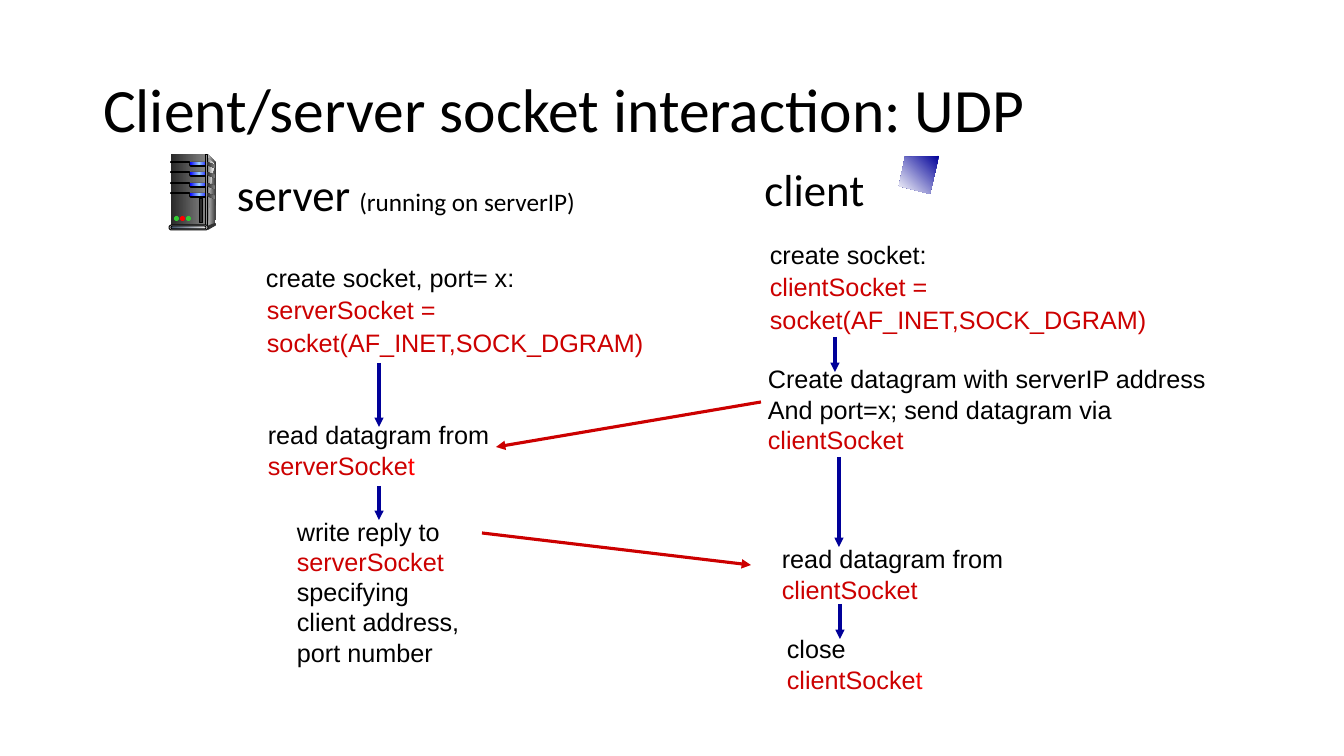
from lxml import etree
from pptx import Presentation
from pptx.dml.color import RGBColor
from pptx.enum.shapes import MSO_CONNECTOR, MSO_SHAPE
from pptx.enum.text import MSO_ANCHOR, MSO_AUTO_SIZE, PP_ALIGN
from pptx.oxml.ns import qn
from pptx.util import Pt

PX = 914400 / 100.8
STRAIGHT = MSO_CONNECTOR.STRAIGHT
RECT, ROUND, OVAL = MSO_SHAPE.RECTANGLE, MSO_SHAPE.ROUNDED_RECTANGLE, MSO_SHAPE.OVAL
MIDDLE, FIT = MSO_ANCHOR.MIDDLE, MSO_AUTO_SIZE.SHAPE_TO_FIT_TEXT
LEFT, CENTER = PP_ALIGN.LEFT, PP_ALIGN.CENTER

THEME = {
    "ink": "000000", "code": "CC0000", "bright": "FF0000", "flow": "000099",
    "white": "FFFFFF", "green": "33CC33", "dark": "333333", "black": "292929",
    "grey": "808080", "pale": "DDDDDD", "shine": "F8F8F8", "blue": "0000FF",
    "sky": "99CCFF", "slate": "44546A", "mist": "E7E6E6",
    "heading_font": "Calibri", "step_font": "Arial",
    "title": 44, "heading": 32, "gap": 28, "step": 18,
    "arrow": 2.25, "outline": 0.75,
}


def paint(shape, colours, outlined=False, angle=0):
    """Fill with one colour or an even gradient, with an optional thin outline."""
    shape.shadow.inherit = False
    if len(colours) == 1:
        shape.fill.solid()
        shape.fill.fore_color.rgb = RGBColor.from_string(THEME[colours[0]])
    else:
        shape.fill.gradient()
        shape.fill.gradient_angle = angle
        stops = shape._element.spPr.find(qn("a:gradFill")).find(qn("a:gsLst"))
        for stop in list(stops):
            stops.remove(stop)
        for index, colour in enumerate(colours):
            position = 100000 * index // (len(colours) - 1)
            stop = etree.SubElement(stops, qn("a:gs"), pos=str(position))
            etree.SubElement(stop, qn("a:srgbClr"), val=THEME[colour])
    if outlined:
        shape.line.color.rgb = RGBColor.from_string(THEME["ink"])
        shape.line.width = Pt(THEME["outline"])
    else:
        shape.line.fill.background()


def write(paragraph, runs, font_name):
    """Add (text, colour, size) runs; a line feed becomes a line break."""
    for text, colour, size in runs:
        if text == "\n":
            paragraph.add_line_break()
            continue
        run = paragraph.add_run()
        run.text = text
        run.font.color.rgb = RGBColor.from_string(THEME[colour])
        for name, value in {"name": font_name, "size": Pt(THEME[size])}.items():
            setattr(run.font, name, value)


presentation = Presentation()
presentation.slide_width, presentation.slide_height = round(1344 * PX), round(756 * PX)
slide = presentation.slides.add_slide(presentation.slide_layouts[5])

# Title
title = slide.shapes.title
for name, value in {"left": 93, "top": 40, "width": 1159, "height": 146}.items():
    setattr(title, name, round(value * PX))
title.text_frame.vertical_anchor = MIDDLE
title_paragraph = title.text_frame.paragraphs[0]
for name, value in {"alignment": LEFT, "line_spacing": 0.9}.items():
    setattr(title_paragraph, name, value)
write(title_paragraph, [("Client/server socket interaction: UDP", "ink", "title")],
      THEME["heading_font"])

# Column headings and steps: box, font, paragraph format, paragraphs of runs
HEADING = {"alignment": CENTER}
STEP = {"alignment": LEFT}
CALL = {"alignment": LEFT, "line_spacing": Pt(20), "space_before": Pt(3.6)}
socket_call = [("socket(AF_INET,SOCK_DGRAM)", "code", "step")]
read_datagram = [("read datagram from", "ink", "step")]
client_socket = [("clientSocket", "code", "step")]
server_socket = [("serverSocket", "code", "step")]
text_boxes = [
    ((225, 161, 362, 65), "heading_font", HEADING,
     [[("server", "ink", "heading"), (" ", "ink", "gap"),
       ("(running on serverIP)", "ink", "step")]]),
    ((754, 156, 121, 65), "heading_font", HEADING, [[("client", "ink", "heading")]]),
    ((256, 257, 271, 40), "step_font", STEP,
     [[("create socket, port= x:", "ink", "step")]]),
    ((257, 290, 401, 74), "step_font", CALL,
     [[("serverSocket =", "code", "step")], socket_call]),
    ((258, 414, 244, 72), "step_font", STEP,
     [read_datagram, [("serverSocke", "code", "step"), ("t", "bright", "step")]]),
    ((287, 510, 185, 163), "step_font", STEP,
     [[("write reply to", "ink", "step")], server_socket,
      [("specifying ", "ink", "step"), ("\n", "ink", "step"),
       ("client address,", "ink", "step")],
      [("port number", "ink", "step")]]),
    ((760, 234, 178, 40), "step_font", STEP, [[("create socket:", "ink", "step")]]),
    ((760, 267, 401, 74), "step_font", CALL,
     [[("clientSocket =", "code", "step")], socket_call]),
    ((758, 358, 463, 102), "step_font", STEP,
     [[("Create datagram with serverIP address", "ink", "step")],
      [("And port=x; send datagram via", "ink", "step"), ("\n", "ink", "step"),
       *client_socket]]),
    ((772, 538, 244, 72), "step_font", STEP, [read_datagram, client_socket]),
    ((777, 628, 157, 72), "step_font", STEP,
     [[("close", "ink", "step")],
      [("clientSocke", "code", "step"), ("t", "bright", "step")]]),
]
for box, font, paragraph_format, paragraphs in text_boxes:
    text_box = slide.shapes.add_textbox(*[round(value * PX) for value in box])
    frame = text_box.text_frame
    for name, value in {"word_wrap": False, "auto_size": FIT,
                        "vertical_anchor": MIDDLE}.items():
        setattr(frame, name, value)
    for index, runs in enumerate(paragraphs):
        paragraph = frame.add_paragraph() if index else frame.paragraphs[0]
        for name, value in paragraph_format.items():
            if index or name != "space_before":
                setattr(paragraph, name, value)
        write(paragraph, runs, THEME[font])

# Arrows: blue within a column, red between client and server
arrows = [
    (379, 363, 379, 427, "flow"), (379, 486, 379, 520, "flow"),
    (835, 337, 835, 372, "flow"), (839, 457, 839, 547, "flow"),
    (840, 604, 840, 639, "flow"),
    (761, 402, 496, 447, "code"), (482, 533, 751, 565, "code"),
]
for *ends, colour in arrows:
    arrow = slide.shapes.add_connector(STRAIGHT, *[round(value * PX) for value in ends])
    arrow.line.color.rgb = RGBColor.from_string(THEME[colour])
    arrow.line.width = Pt(THEME["arrow"])
    etree.SubElement(arrow.line._get_or_add_ln(), qn("a:tailEnd"), type="triangle")
    etree.SubElement(arrow._element.spPr, qn("a:effectLst"))

# Server tower, back to front: kind (None for an outline), geometry, fill, outlined
tower_parts = [
    (None, [(208, 154), (216, 163), (215, 224), (206, 227)], ["pale", "dark"], False),
    (RECT, (171, 154, 34, 73), ["black", "grey"], False),
    (None, [(208, 158), (214, 164), (210, 190), (208, 225)], ["grey", "shine"], False),
]
drive_tops = [162, 172, 183, 193]
for top in drive_tops:
    tower_parts += [
        (RECT, (171, top, 19, 1), ["ink"], True),
        (ROUND, (189, top, 19, 5), ["ink"], False),
        (ROUND, (190, top, 18, 3), ["blue", "sky", "blue"], False),
    ]
tower_parts.append((RECT, (206, 154, 2, 73), ["dark", "pale", "dark"], True))
for top in drive_tops:
    vent = [(207, top), (215, top + 3), (215, top + 6), (207, top + 3)]
    tower_parts.append((None, vent, ["black", "grey"], False))
tower_parts += [
    (OVAL, (214, 223, 2, 3), ["dark"], False),
    (None, [(207, 226), (208, 230), (215, 226), (215, 223)], ["dark"], False),
    (ROUND, (169, 225, 39, 5), ["pale"], True),
    (ROUND, (171, 226, 35, 3), ["slate", "mist"], True),
    (RECT, (200, 199, 3, 24), ["black"], True),
]
for index, light in enumerate(["green", "bright", "green"]):
    tower_parts.append((OVAL, (174 + 6 * index, 216, 5, 5), [light], False))

tower = slide.shapes.add_group_shape()
for kind, geometry, colours, outlined in tower_parts:
    if kind is None:
        outline = tower.shapes.build_freeform(*geometry[0], scale=PX)
        outline.add_line_segments(geometry[1:], close=True)
        part = outline.convert_to_shape()
    else:
        part = tower.shapes.add_shape(kind, *[round(value * PX) for value in geometry])
        if kind == ROUND:
            part.adjustments[0] = 0.5
    paint(part, colours, outlined)

# Client screen
outline = slide.shapes.build_freeform(939, 156, scale=PX)
outline.add_line_segments([(905, 157), (899, 186), (930, 194)], close=True)
paint(outline.convert_to_shape(), ["flow", "white"], angle=225)

presentation.save("out.pptx")
